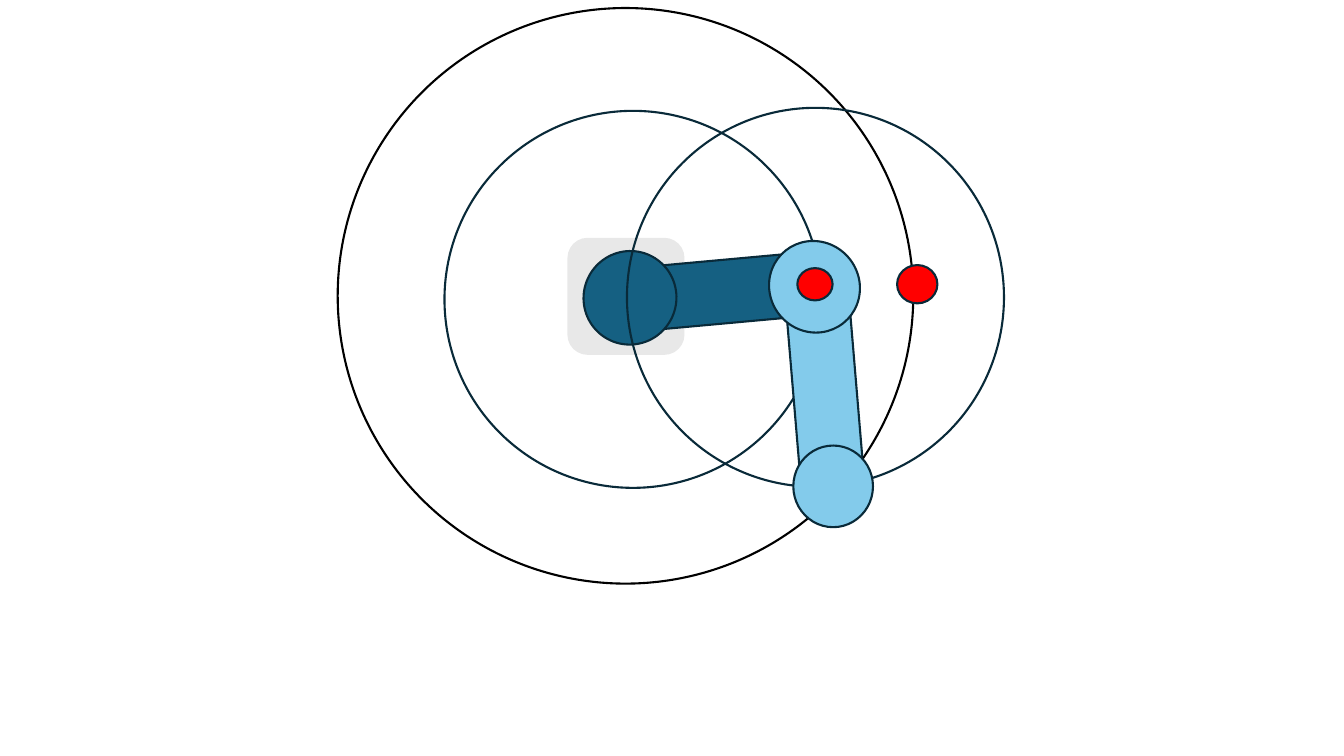
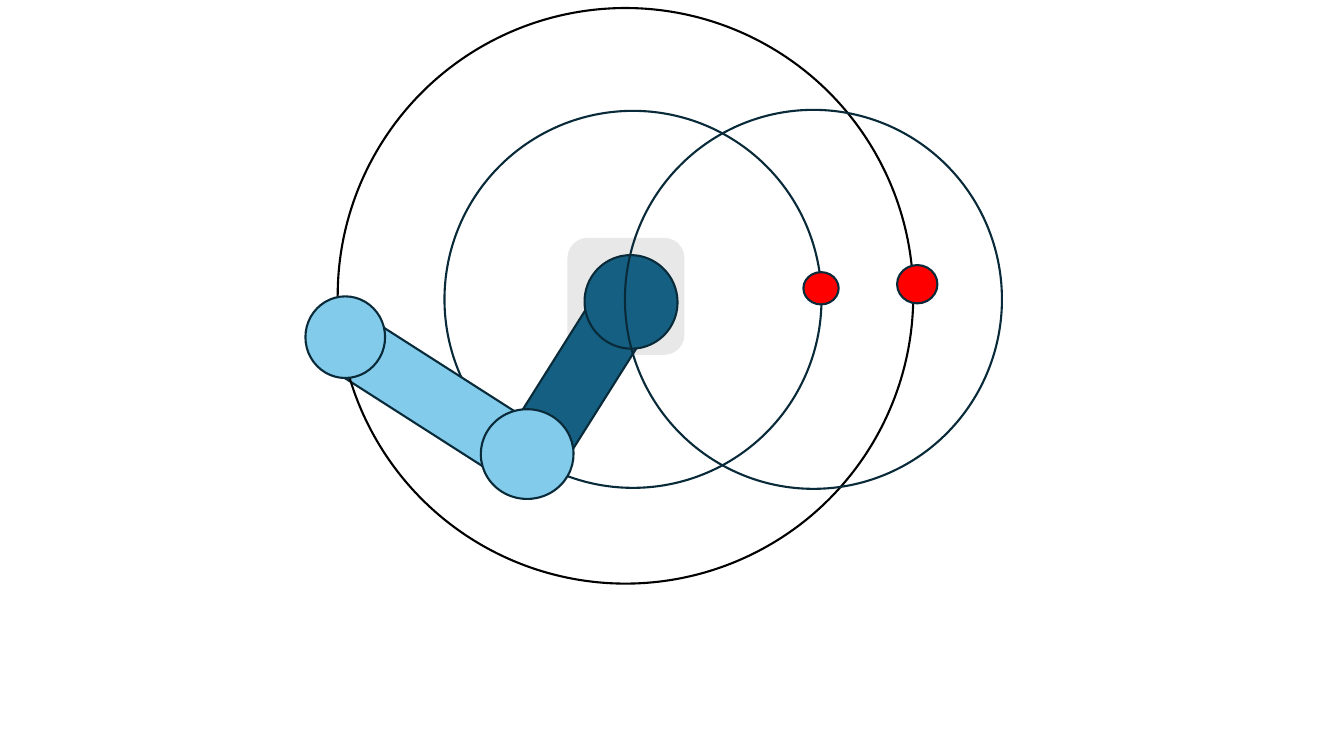
from dataclasses import dataclass

from pptx import Presentation
from pptx import util as u
from pptx.dml import color
from pptx.enum import shapes

# Grid: ten columns or rows to the inch
CELL = u.Inches(0.1)
COLUMNS, ROWS = 133.33, 75

# Palette
OUTLINE, BLACK = "092A39", "000000"
BASE, UPPER_ARM, FOREARM, TARGET = "E8E8E8", "156082", "83CBEB", "FF0000"

ELLIPSE = shapes.MSO_SHAPE.OVAL
ROUNDED = shapes.MSO_SHAPE.ROUNDED_RECTANGLE
LINE_WIDTH = u.Pt(1.5)

# A joint is turned by a fixed angle from its link
SHOULDER_TURN, ELBOW_TURN = 29.9, -33.6

Point = tuple[float, float]


@dataclass(frozen=True)
class Part:
    """Kind of part: size in grid cells, fill and line colours."""
    size: Point
    fill: str | None = None
    line: str = OUTLINE
    outline: shapes.MSO_SHAPE = ELLIPSE


@dataclass(frozen=True)
class Pose:
    """Centres of the moving parts and the angles of the two links."""
    upper_link: Point
    upper_angle: float
    shoulder: Point
    fore_link: Point
    fore_angle: float
    elbow: Point
    hand: Point
    elbow_target: Point
    elbow_reach: Point


INNER_REACH = Part((37.4, 37.4))
OUTER_REACH = Part((57.1, 57.1), line=BLACK)
ELBOW_REACH = Part((37.4, 37.6))
BASE_PLATE = Part((11.4, 11.4), BASE, BASE, ROUNDED)
UPPER_LINK = Part((21.3, 6.3), UPPER_ARM, outline=ROUNDED)
FORE_LINK = Part((21.3, 6.3), FOREARM, outline=ROUNDED)
SHOULDER = Part((9.2, 9.3), UPPER_ARM)
ELBOW = Part((9.2, 8.9), FOREARM)
HAND = Part((7.9, 8.1), FOREARM)
ELBOW_TARGET = Part((3.5, 3.2), TARGET)
HAND_TARGET = Part((4, 3.8), TARGET)

POSES = (
    Pose(upper_link=(70.55, 29.05), upper_angle=354.8, shoulder=(62.5, 29.55),
         fore_link=(81.85, 39.05), fore_angle=85.2, elbow=(80.8, 28.45),
         hand=(82.65, 48.25), elbow_target=(80.85, 28.2),
         elbow_reach=(80.9, 29.5)),
    Pose(upper_link=(58.15, 36.55), upper_angle=122.2, shoulder=(62.6, 29.95),
         fore_link=(43.25, 39.55), fore_angle=212.6, elbow=(52.3, 45.05),
         hand=(34.25, 33.45), elbow_target=(81.45, 28.6),
         elbow_reach=(80.7, 29.7)),
)


def grid(cells: float) -> int:
    return round(cells * CELL)


def rgb(value: str) -> color.RGBColor:
    return color.RGBColor.from_string(value)


def draw(slide, part: Part, centre: Point, angle: float = 0) -> None:
    """Draw a part around its centre."""
    width, height = part.size
    left, top = centre[0] - width / 2, centre[1] - height / 2
    shape = slide.shapes.add_shape(
        part.outline, grid(left), grid(top), grid(width), grid(height))
    shape.rotation = angle % 360
    shape.shadow.inherit = False
    if part.fill:
        shape.fill.solid()
        shape.fill.fore_color.rgb = rgb(part.fill)
    else:
        shape.fill.background()
    shape.line.color.rgb = rgb(part.line)
    shape.line.width = LINE_WIDTH


def draw_arm(slide, pose: Pose) -> None:
    # Inner reach and base
    draw(slide, INNER_REACH, (62.8, 29.7))
    draw(slide, BASE_PLATE, (62.1, 29.4))
    # Links and joints
    draw(slide, UPPER_LINK, pose.upper_link, pose.upper_angle)
    draw(slide, SHOULDER, pose.shoulder, pose.upper_angle + SHOULDER_TURN)
    draw(slide, FORE_LINK, pose.fore_link, pose.fore_angle)
    draw(slide, ELBOW, pose.elbow, pose.fore_angle + ELBOW_TURN)
    # Outer reach, targets and hand
    draw(slide, OUTER_REACH, (62.05, 29.35))
    draw(slide, ELBOW_TARGET, pose.elbow_target)
    draw(slide, HAND_TARGET, (91, 28.2))
    draw(slide, ELBOW_REACH, pose.elbow_reach)
    draw(slide, HAND, pose.hand)


def main() -> None:
    presentation = Presentation()
    presentation.slide_width = grid(COLUMNS)
    presentation.slide_height = grid(ROWS)
    blank_layout = presentation.slide_layouts[6]
    for pose in POSES:
        draw_arm(presentation.slides.add_slide(blank_layout), pose)
    presentation.save("out.pptx")


if __name__ == "__main__":
    main()
